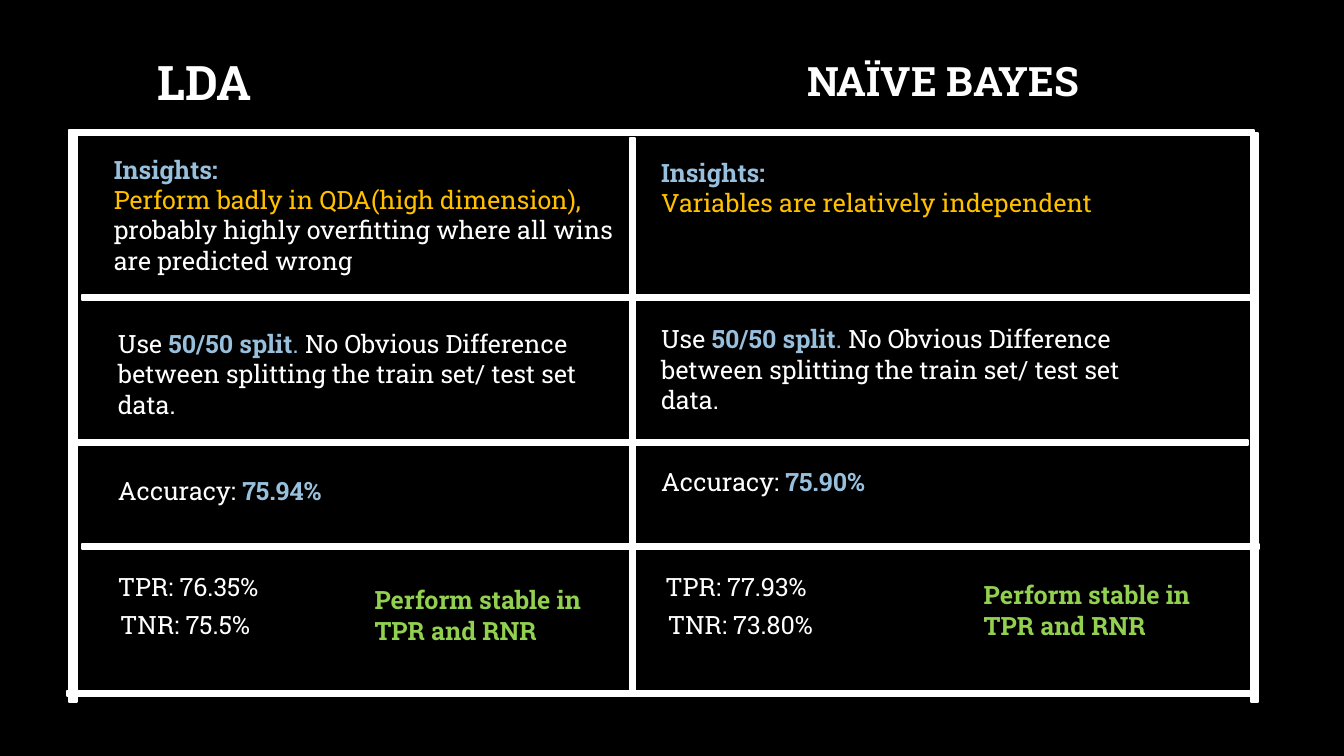
from dataclasses import dataclass

from pptx import Presentation
from pptx.dml.color import RGBColor
from pptx.enum.shapes import MSO_SHAPE as Shape
from pptx.enum.text import MSO_ANCHOR as Anchor, MSO_AUTO_SIZE as AutoSize, PP_ALIGN as Align
from pptx.util import Cm, Pt


@dataclass(frozen=True)
class Theme:
    font: str = "Roboto Slab"
    back: str = "000000"
    white: str = "FFFFFF"
    blue: str = "98C0DD"
    amber: str = "FFC000"
    green: str = "92D050"
    body: float = 18
    title: float = 34
    subtitle: float = 28.9
    border: float = 1.5


def add_run(p, text, font, size, color, bold=False):
    r = p.add_run()
    r.text = text
    r.font.name = font
    r.font.size = Pt(size)
    r.font.bold = bold
    r.font.color.rgb = RGBColor.from_string(color)


class Deck:
    def __init__(self, theme):
        self.theme = theme
        self.prs = Presentation()
        self.prs.slide_width, self.prs.slide_height = Cm(33.87), Cm(19.05)

    def new_slide(self):
        self.s = self.prs.slides.add_slide(self.prs.slide_layouts[5])
        fill = self.s.background.fill
        fill.solid()
        fill.fore_color.rgb = RGBColor.from_string(self.theme.back)

    def heading(self, sp, text, left, width, size, spacing):
        sp.left, sp.top, sp.width, sp.height = Cm(left), Cm(1.37), Cm(width), Cm(1.55)
        tf = sp.text_frame
        tf.word_wrap, tf.auto_size = True, AutoSize.NONE
        tf.vertical_anchor = Anchor.MIDDLE
        p = tf.paragraphs[0]
        p.alignment, p.line_spacing = Align.CENTER, spacing
        add_run(p, text, self.theme.font, size, self.theme.white, bold=True)

    def title(self, text, left, width):
        self.heading(self.s.shapes.title, text, left, width, self.theme.title, 0.9)

    def subtitle(self, text, left, width):
        sp = self.s.shapes.add_textbox(0, 0, 0, 0)
        self.heading(sp, text, left, width, self.theme.subtitle, 0.8)

    def bar(self, left, top, width, height):
        sp = self.s.shapes.add_shape(Shape.FLOWCHART_PROCESS,
                                     Cm(left), Cm(top), Cm(width), Cm(height))
        white = RGBColor.from_string(self.theme.white)
        sp.shadow.inherit = False
        sp.fill.solid()
        sp.fill.fore_color.rgb = white
        sp.line.color.rgb = white
        sp.line.width = Pt(self.theme.border)

    def text(self, left, top, *paragraphs, width=13.39, height=1.02):
        """Each paragraph is a list of (text, color, bold) runs."""
        sp = self.s.shapes.add_textbox(Cm(left), Cm(top), Cm(width), Cm(height))
        tf = sp.text_frame
        tf.word_wrap, tf.auto_size = True, AutoSize.SHAPE_TO_FIT_TEXT
        for i, runs in enumerate(paragraphs):
            p = tf.add_paragraph() if i else tf.paragraphs[0]
            for text, color, bold in runs:
                add_run(p, text, self.theme.font, self.theme.body, color, bold)


def main():
    th = Theme()
    deck = Deck(th)
    deck.new_slide()

    # Headings
    deck.title("LDA", 2.24, 5.84)
    deck.subtitle("NAÏVE BAYES", 19.76, 8.03)

    # Grid: horizontal bars, then vertical bars
    for left, top, width in [(1.75, 3.28, 29.85), (2.06, 7.44, 29.54), (1.94, 11.09, 29.51),
                             (2.07, 13.7, 29.67), (1.7, 17.42, 29.85)]:
        deck.bar(left, top, width, 0.13)
    deck.bar(15.88, 3.48, 0.13, 14.02)
    for left in (1.75, 31.52):
        deck.bar(left, 3.35, 0.18, 14.33)

    # Insights
    label = [("Insights:", th.blue, True)]
    deck.text(2.62, 3.76, label,
              [("Perform badly in QDA(high dimension), ", th.amber, False),
               ("probably highly overfitting where all wins are predicted wrong",
                th.white, False)], height=3.33)
    deck.text(16.41, 3.84, label,
              [("Variables are relatively independent", th.amber, False)], height=1.8)

    # Data split
    split = [("Use ", th.white, False), ("50/50 split", th.blue, True), (".", th.blue, False),
             (" No Obvious Difference between splitting the train set/ test set data.",
              th.white, False)]
    for left, top in [(2.72, 8.15), (16.41, 8.03)]:
        deck.text(left, top, split, height=1.8)

    # Accuracy
    for left, top, value in [(2.72, 11.86, "75.94%"), (16.41, 11.63, "75.90%")]:
        deck.text(left, top, [("Accuracy: ", th.white, False), (value, th.blue, True)])

    # Rates
    for left, tpr, tnr in [(2.72, "76.35%", "75.5%"), (16.52, "77.93%", "73.80%")]:
        deck.text(left, 14.27, [(f"TPR: {tpr}", th.white, False)])
        deck.text(left + 0.06, 15.24, [(f"TNR: {tnr}", th.white, False)])

    # Verdicts
    for left, top in [(9.19, 14.61), (24.54, 14.48)]:
        deck.text(left, top, [("Perform stable in TPR and RNR", th.green, True)],
                  width=6.1, height=1.8)

    deck.prs.save("out.pptx")


if __name__ == "__main__":
    main()
